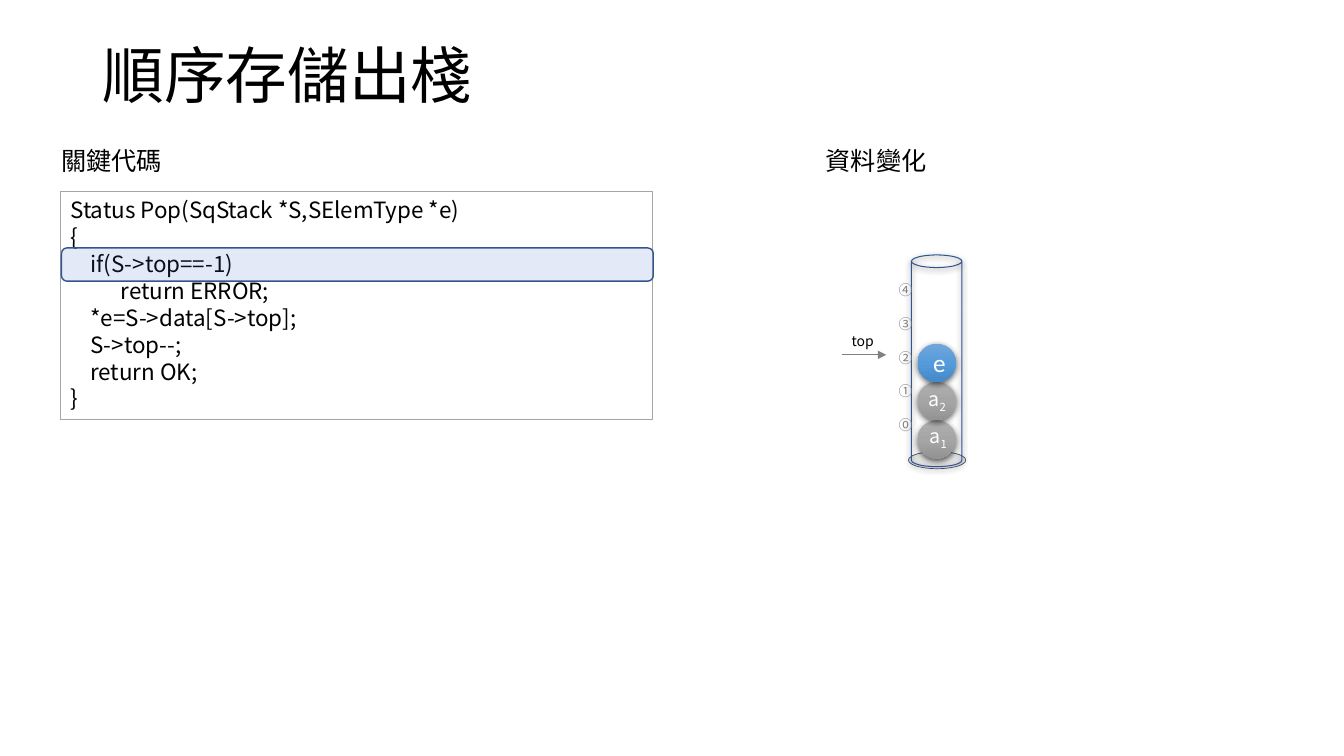
from dataclasses import dataclass

from lxml.etree import SubElement
from pptx import Presentation
from pptx.dml.color import RGBColor
from pptx.enum.shapes import MSO_CONNECTOR, MSO_SHAPE
from pptx.enum.text import MSO_ANCHOR, PP_ALIGN
from pptx.oxml import parse_xml
from pptx.oxml.ns import nsdecls, qn
from pptx.shapes.autoshape import Shape
from pptx.util import Emu, Pt

EMU_PER_PX = 9144
CJK_FONT = "Noto Sans CJK SC"
BLACK = RGBColor(0x00, 0x00, 0x00)
WHITE = RGBColor(0xFF, 0xFF, 0xFF)
GREY = RGBColor(0xA5, 0xA5, 0xA5)
DARK_GREY = RGBColor(0x80, 0x80, 0x80)
BLUE = RGBColor(0x44, 0x72, 0xC4)
DARK_BLUE = RGBColor(0x32, 0x54, 0x91)
SLATE = RGBColor(0x44, 0x54, 0x6A)
GREY_SHADES = (RGBColor(0xAF, 0xAF, 0xAF), GREY, RGBColor(0x93, 0x93, 0x93))
BLUE_SHADES = (
    RGBColor(0x71, 0xA6, 0xDB),
    RGBColor(0x55, 0x9B, 0xDB),
    RGBColor(0x44, 0x8A, 0xCA),
)

CODE = """Status Pop(SqStack *S,SElemType *e)
{
    if(S->top==-1)
    \treturn ERROR;
    *e=S->data[S->top];
    S->top--;
    return OK;
}"""


@dataclass(frozen=True)
class Box:
    left: int
    top: int
    width: int
    height: int

    def emu(self) -> tuple[Emu, ...]:
        return tuple(px(n) for n in (self.left, self.top, self.width, self.height))


@dataclass(frozen=True)
class Caption:
    text: str
    box: Box
    size: int
    align: PP_ALIGN = PP_ALIGN.LEFT
    wrap: bool = False


@dataclass(frozen=True)
class StackItem:
    name: str
    subscript: str
    label_box: Box


TITLE = Caption("順序存儲出棧", Box(92, 1, 1150, 145), 44, wrap=True)
HEADINGS = (
    Caption("關鍵代碼", Box(51, 139, 125, 40), 18),
    Caption("資料變化", Box(809, 139, 121, 40), 18),
)
TOP_LABEL = Caption("top", Box(830, 325, 51, 27), 10, PP_ALIGN.CENTER, True)
STACK_ITEMS = (
    StackItem("a", "1", Box(912, 417, 37, 34)),
    StackItem("a", "2", Box(911, 380, 37, 34)),
)
BALL_LEFT, BALL_SIZE, BALL_PITCH, LOWEST_BALL_TOP = 910, 38, 38, 417


def px(length: int) -> Emu:
    return Emu(length * EMU_PER_PX)


def style_text(shape: Shape, size: int, color: RGBColor, font: str = CJK_FONT,
               align: PP_ALIGN = PP_ALIGN.LEFT) -> None:
    for paragraph in shape.text_frame.paragraphs:
        paragraph.alignment = align
        for run in paragraph.runs:
            run.font.size = Pt(size)
            run.font.color.rgb = color
            run.font.name = font
            SubElement(run._r.get_or_add_rPr(), qn("a:ea"), typeface=font)


def add_caption(shapes, caption: Caption) -> None:
    label = shapes.add_textbox(*caption.box.emu())
    frame = label.text_frame
    frame.word_wrap = caption.wrap
    frame.vertical_anchor = MSO_ANCHOR.MIDDLE
    frame.text = caption.text
    style_text(label, caption.size, BLACK, align=caption.align)


def add_outline(shapes, kind: MSO_SHAPE, box: Box, line: RGBColor, weight: float,
                fill: RGBColor | None = None, opacity: int = 100) -> Shape:
    shape = shapes.add_shape(kind, *box.emu())
    shape.shadow.inherit = False
    shape.line.color.rgb = line
    shape.line.width = Pt(weight)
    if fill is None:
        shape.fill.background()
    else:
        shape.fill.solid()
        shape.fill.fore_color.rgb = fill
        if opacity < 100:
            tint = shape._element.spPr.find(f"{qn('a:solidFill')}/{qn('a:srgbClr')}")
            SubElement(tint, qn("a:alpha"), val=str(opacity * 1000))
    return shape


def drop_shadow(shape: Shape) -> None:
    shape.shadow.inherit = False
    effects = shape._element.spPr.find(qn("a:effectLst"))
    shadow = SubElement(effects, qn("a:outerShdw"), blurRad=str(Pt(4.5)),
                        dist=str(Pt(1.5)), dir="5400000", rotWithShape="0")
    tint = SubElement(shadow, qn("a:srgbClr"), val=str(BLACK))
    SubElement(tint, qn("a:alpha"), val="63000")


def add_ball(shapes, level: int, shades: tuple[RGBColor, ...]) -> Shape:
    """Draw a shaded ball; level 0 lies at the bottom of the stack."""
    box = Box(BALL_LEFT, LOWEST_BALL_TOP - level * BALL_PITCH, BALL_SIZE, BALL_SIZE)
    ball = shapes.add_shape(MSO_SHAPE.OVAL, *box.emu())
    ball.line.fill.background()
    stops = "".join(
        f'<a:gs pos="{i * 50000}"><a:srgbClr val="{shade}"/></a:gs>'
        for i, shade in enumerate(shades)
    )
    gradient = parse_xml(
        f'<a:gradFill {nsdecls("a")} rotWithShape="1"><a:gsLst>{stops}</a:gsLst>'
        '<a:lin ang="5400000" scaled="0"/></a:gradFill>'
    )
    ball._element.spPr.find(qn("a:prstGeom")).addnext(gradient)
    drop_shadow(ball)
    return ball


def add_code(shapes) -> None:
    listing = add_outline(shapes, MSO_SHAPE.RECTANGLE, Box(60, 190, 587, 226), GREY, 1, WHITE)
    listing.text_frame.word_wrap = True
    listing.text_frame.vertical_anchor = MSO_ANCHOR.TOP
    listing.text_frame.text = CODE
    style_text(listing, 16, BLACK)
    for paragraph in listing.text_frame.paragraphs:
        paragraph.line_spacing = Pt(19.2)
    add_outline(shapes, MSO_SHAPE.ROUNDED_RECTANGLE, Box(61, 246, 587, 33),
                DARK_BLUE, 1, BLUE, 15)


def add_slot_numbers(shapes) -> None:
    numbers = shapes.add_textbox(*Box(874, 263, 37, 198).emu())
    frame = numbers.text_frame
    frame.word_wrap = True
    frame.margin_top = frame.margin_left = 0
    frame.margin_right = px(6)
    frame.text = "\n".join("④③②①⓪")
    style_text(numbers, 10, DARK_GREY, align=PP_ALIGN.RIGHT)
    for paragraph in frame.paragraphs:
        paragraph.line_spacing = Pt(24)


def add_top_pointer(shapes) -> None:
    pointer = shapes.add_group_shape().shapes
    arrow = pointer.add_connector(MSO_CONNECTOR.STRAIGHT, px(835), px(352), px(879), px(352))
    arrow.line.color.rgb = DARK_GREY
    arrow.line.width = Pt(1)
    SubElement(arrow.line._get_or_add_ln(), qn("a:tailEnd"), type="triangle")
    SubElement(arrow._element.spPr, qn("a:effectLst"))
    add_caption(pointer, TOP_LABEL)


def add_item_label(shapes, item: StackItem) -> None:
    label = shapes.add_textbox(*item.label_box.emu())
    label.text_frame.word_wrap = True
    label.text_frame.vertical_anchor = MSO_ANCHOR.MIDDLE
    paragraph = label.text_frame.paragraphs[0]
    for part in (item.name, item.subscript):
        paragraph.add_run().text = part
    paragraph.runs[1]._r.get_or_add_rPr().set("baseline", "-25000")
    style_text(label, 14, WHITE, align=PP_ALIGN.CENTER)


def add_stack(shapes) -> None:
    add_outline(shapes, MSO_SHAPE.OVAL, Box(901, 448, 57, 17), SLATE, 0.5, GREY, 30)
    drop_shadow(add_outline(shapes, MSO_SHAPE.CAN, Box(904, 253, 50, 210), DARK_BLUE, 0.75))
    for level in range(len(STACK_ITEMS)):
        add_ball(shapes, level, GREY_SHADES)
    add_slot_numbers(shapes)
    add_top_pointer(shapes)
    for item in STACK_ITEMS:
        add_item_label(shapes, item)
    popped = add_ball(shapes, len(STACK_ITEMS), BLUE_SHADES)
    popped.text_frame.text = "e"
    style_text(popped, 18, WHITE, "Calibri", PP_ALIGN.CENTER)


def main() -> None:
    deck = Presentation()
    deck.slide_width, deck.slide_height = px(1333), px(750)
    shapes = deck.slides.add_slide(deck.slide_layouts[6]).shapes
    add_caption(shapes, TITLE)
    add_code(shapes)
    for heading in HEADINGS:
        add_caption(shapes, heading)
    add_stack(shapes)
    deck.save("out.pptx")


if __name__ == "__main__":
    main()
